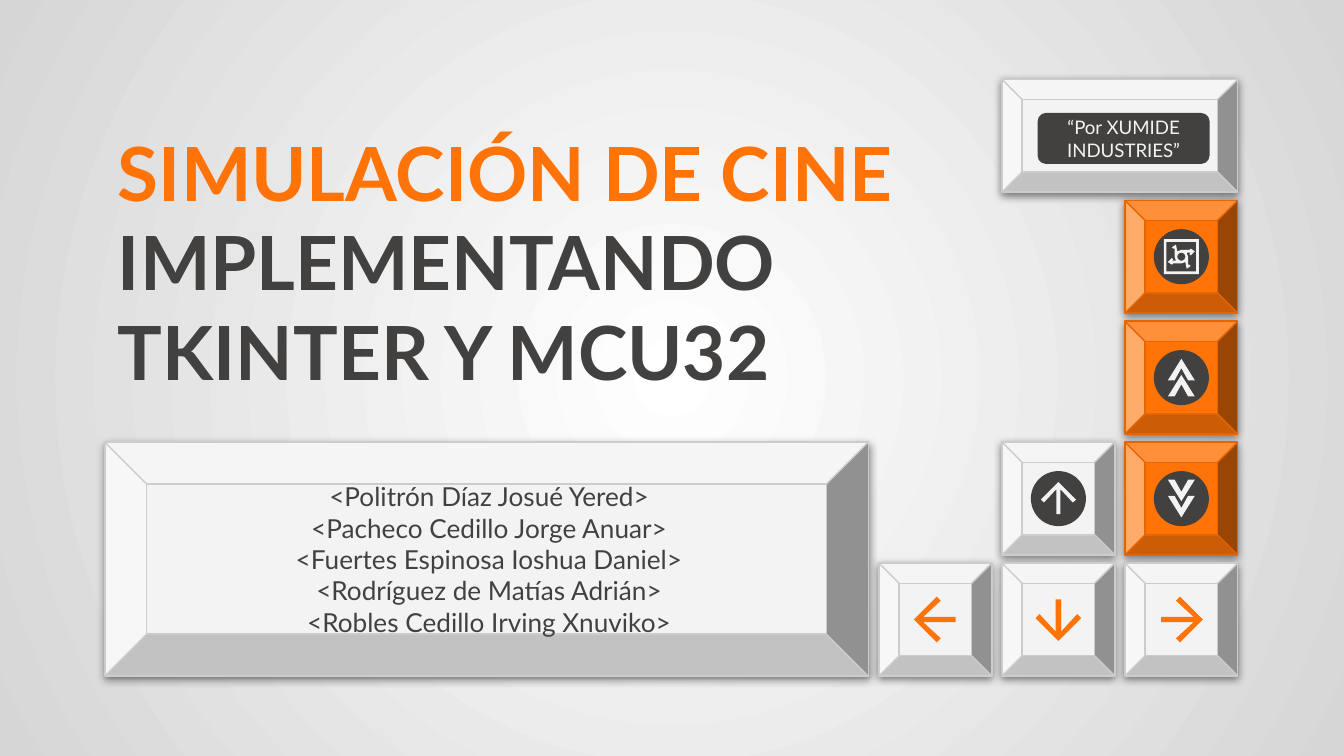
from math import cos, pi, sin
from lxml import etree
from pptx import Presentation
from pptx.dml.color import RGBColor
from pptx.enum.shapes import MSO_SHAPE
from pptx.enum.text import MSO_ANCHOR, PP_ALIGN
from pptx.oxml.ns import qn
from pptx.util import Inches, Pt

BEVEL, OVAL, ROUNDED = MSO_SHAPE.BEVEL, MSO_SHAPE.OVAL, MSO_SHAPE.ROUNDED_RECTANGLE
LEFT, CENTER, MIDDLE = PP_ALIGN.LEFT, PP_ALIGN.CENTER, MSO_ANCHOR.MIDDLE

ORANGE = RGBColor(0xFF, 0x73, 0x07)
ORANGE_EDGE = RGBColor(0xE4, 0x65, 0x03)
DARK = RGBColor(0x42, 0x41, 0x3F)
LIGHT = RGBColor(0xF3, 0xF3, 0xF3)
LIGHT_EDGE = RGBColor(0xCC, 0xCC, 0xCC)
WHITE = RGBColor(0xFF, 0xFF, 0xFF)
GRAY = RGBColor(0xD6, 0xD6, 0xD6)
BLACK = "000000"

TITLE = [[("SIMULACIÓN DE CINE", ORANGE), ("IMPLEMENTANDO TKINTER Y MCU32", DARK)]]
AUTHORS = [
    "<Politrón Díaz Josué Yered>",
    "<Pacheco Cedillo Jorge Anuar>",
    "<Fuertes Espinosa Ioshua Daniel>",
    "<Rodríguez de Matías Adrián>",
    "<Robles Cedillo Irving Xnuviko>",
]
CREDIT = "“Por XUMIDE INDUSTRIES”"

ARROW = [(-0.01, -0.17), (-0.04, -0.14), (0.09, -0.02), (-0.15, -0.02), (-0.15, 0.02),
         (0.09, 0.02), (-0.04, 0.14), (-0.01, 0.17), (0.16, 0)]
CHEVRON = [(-0.08, -0.05), (-0.08, -0.1), (0.08, 0), (-0.08, 0.1), (-0.08, 0.05), (0.01, 0)]
HALF_CROP = [(-0.04, -0.09), (-0.07, -0.07), (-0.06, -0.06), (-0.05, -0.06), (-0.05, 0),
             (-0.04, 0.03), (-0.07, 0.03), (-0.06, 0.02), (-0.07, 0.01), (-0.1, 0.04),
             (-0.07, 0.06), (-0.06, 0.05), (-0.07, 0.05), (0, 0.05), (0.03, 0.04)]
CROP = HALF_CROP + [(-x, -y) for x, y in HALF_CROP]
RING = [(0.03 * cos(k * pi / 8), -0.03 * sin(k * pi / 8)) for k in range(16)]
OUTER = [(-0.13, -0.13), (-0.13, 0.13), (0.13, 0.13), (0.13, -0.13)]
INNER = [(0.11, -0.11), (0.11, 0.11), (-0.11, 0.11), (-0.11, -0.11)]

RIGHT_TURN, DOWN_TURN, LEFT_TURN, UP_TURN = range(4)
KEY, DISC = 0.84, 0.41
GRID_X, GRID_Y, PITCH_X, PITCH_Y = 6.54, 0.59, 0.915, 0.9
PANEL_X, PANEL_WIDTH, PANEL_ROW = 0.78, 5.68, 3
PANEL_HEIGHT = PITCH_Y + KEY

ORANGE_STYLE, LIGHT_STYLE = (ORANGE, ORANGE_EDGE), (LIGHT, LIGHT_EDGE)
KEYS = [
    (2, 1, ORANGE_STYLE, LIGHT, [([INNER, OUTER], 0, 0, 1), ([RING, CROP], 0, 0, 1)]),
    (2, 2, ORANGE_STYLE, LIGHT, [([CHEVRON], dy, UP_TURN, 1) for dy in (-0.06, 0.06)]),
    (2, 3, ORANGE_STYLE, LIGHT, [([CHEVRON], dy, DOWN_TURN, 1) for dy in (0.06, -0.06)]),
    (1, 3, LIGHT_STYLE, LIGHT, [([ARROW], 0, UP_TURN, 0.77)]),
    (0, 4, LIGHT_STYLE, ORANGE, [([ARROW], 0, LEFT_TURN, 1)]),
    (1, 4, LIGHT_STYLE, ORANGE, [([ARROW], 0, DOWN_TURN, 1)]),
    (2, 4, LIGHT_STYLE, ORANGE, [([ARROW], 0, RIGHT_TURN, 1)]),
]

prs = Presentation()
prs.slide_width, prs.slide_height = Inches(10), Inches(5.625)
slide = prs.slides.add_slide(prs.slide_layouts[6])
shapes = slide.shapes


def paint_background():
    fill = slide.background.fill
    fill.gradient()
    for stop, color in zip(fill.gradient_stops, (WHITE, GRAY)):
        stop.color.rgb = color
    linear = slide._element.find(".//" + qn("a:lin"))
    circle = etree.Element(qn("a:path"), path="circle")
    etree.SubElement(circle, qn("a:fillToRect"),
                     {side: "50000" for side in ("l", "t", "r", "b")})
    linear.getparent().replace(linear, circle)


def finish(part, fill, edge=None):
    part.shadow.inherit = False
    part.fill.solid()
    part.fill.fore_color.rgb = fill
    if edge is None:
        part.line.fill.background()
    else:
        part.line.color.rgb = edge
        part.line.width = Pt(0.75)
    return part


def add_part(kind, x, y, width, height, fill, edge=None):
    box = [Inches(v) for v in (x, y, width, height)]
    return finish(shapes.add_shape(kind, *box), fill, edge)


def add_key(x, y, width, height, style):
    key = add_part(BEVEL, x, y, width, height, *style)
    key.adjustments[0] = 0.179
    effects = key._element.spPr.find(qn("a:effectLst"))
    shadow = etree.SubElement(effects, qn("a:outerShdw"), blurRad=str(Pt(4.5)),
                              dist=str(Pt(1.5)), dir="5400000", algn="bl", rotWithShape="0")
    tone = etree.SubElement(shadow, qn("a:srgbClr"), val=BLACK)
    etree.SubElement(tone, qn("a:alpha"), val="50000")


def add_icon(contours, x, y, turn, scale, fill):
    def place(point):
        dx, dy = point
        for _ in range(turn):
            dx, dy = -dy, dx
        return Inches(x + dx * scale), Inches(y + dy * scale)

    builder = None
    for contour in contours:
        first, *rest = map(place, contour)
        if builder is None:
            builder = shapes.build_freeform(*first)
        else:
            builder.move_to(*first)
        builder.add_line_segments(rest, close=True)
    finish(builder.convert_to_shape(), fill)


def write(holder, paragraphs, size, align=LEFT, bold=False):
    frame = holder.text_frame
    frame.word_wrap = True
    frame.vertical_anchor = MIDDLE
    frame.margin_left = frame.margin_right = Inches(0.1)
    frame.margin_top = frame.margin_bottom = Inches(0.1)
    for index, lines in enumerate(paragraphs):
        paragraph = frame.add_paragraph() if index else frame.paragraphs[0]
        paragraph.alignment = align
        for number, (text, color) in enumerate(lines):
            if number:
                paragraph.add_line_break()
            run = paragraph.add_run()
            run.text = text
            run.font.name, run.font.size, run.font.bold = "Lato", Pt(size), bold
            run.font.color.rgb = color


def add_text(x, y, width, height, paragraphs, **text_format):
    holder = shapes.add_textbox(*[Inches(v) for v in (x, y, width, height)])
    write(holder, paragraphs, **text_format)


paint_background()

panel_y = GRID_Y + PANEL_ROW * PITCH_Y
add_key(PANEL_X, panel_y, PANEL_WIDTH, PANEL_HEIGHT, LIGHT_STYLE)
add_text(0.95, panel_y, 5.38, PANEL_HEIGHT, [[(name, DARK)] for name in AUTHORS],
         size=14, align=CENTER)
add_text(PANEL_X, GRID_Y, 6.64, panel_y - GRID_Y, TITLE, size=40, bold=True)

add_key(GRID_X + PITCH_X, GRID_Y, PITCH_X + KEY, KEY, LIGHT_STYLE)
credit = add_part(ROUNDED, 7.72, 0.84, 1.28, 0.38, DARK)
write(credit, [[(CREDIT, LIGHT)]], size=10, align=CENTER)

for column, row, style, icon_color, icons in KEYS:
    x, y = GRID_X + column * PITCH_X, GRID_Y + row * PITCH_Y
    center_x, center_y = x + KEY / 2, y + KEY / 2
    add_key(x, y, KEY, KEY, style)
    if icon_color == LIGHT:
        add_part(OVAL, center_x - DISC / 2, center_y - DISC / 2, DISC, DISC, DARK)
    for contours, dy, turn, scale in icons:
        add_icon(contours, center_x, center_y + dy, turn, scale, icon_color)

prs.save("out.pptx")
